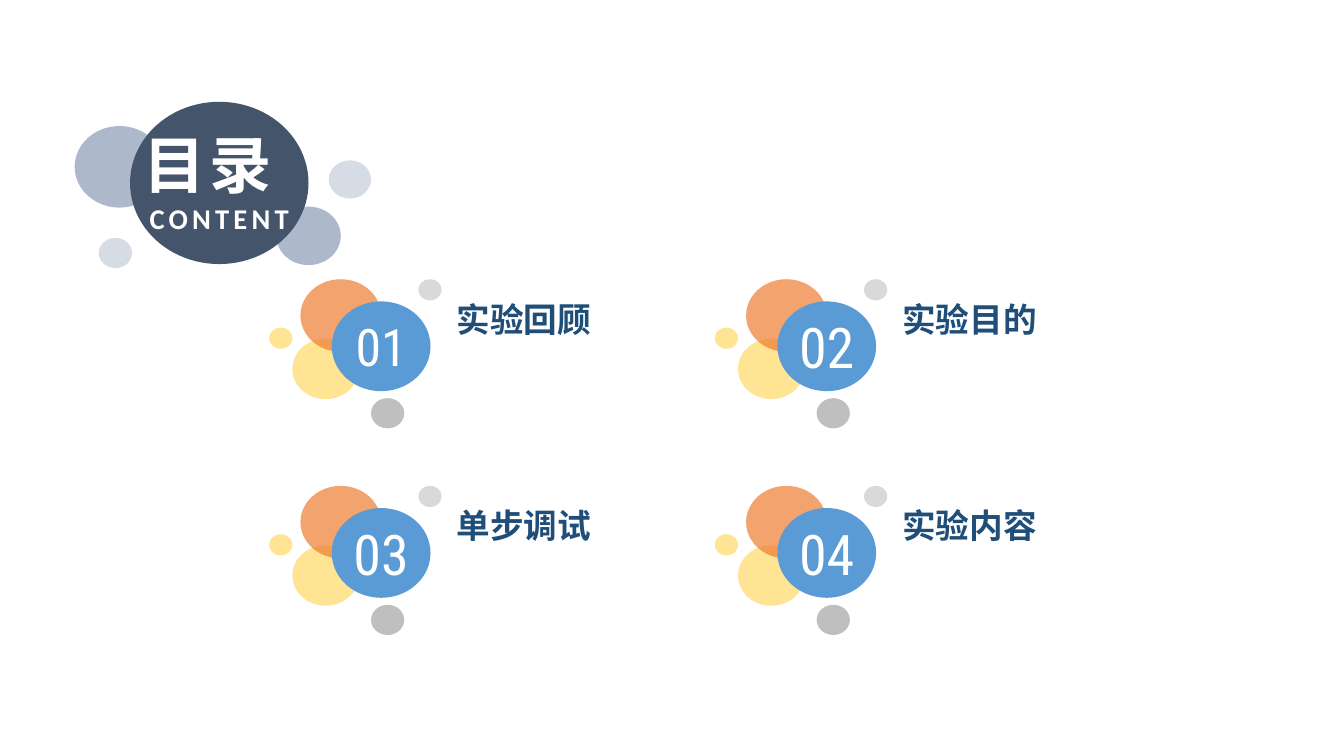
from lxml.etree import SubElement
from pptx import Presentation
from pptx.dml.color import RGBColor
from pptx.enum.shapes import MSO_SHAPE as Shape
from pptx.enum.text import MSO_ANCHOR as Anchor, PP_ALIGN as Align
from pptx.oxml.ns import qn
from pptx.util import Inches, Pt

CJK_FONT = "Noto Sans CJK SC"
WHITE = "FFFFFF"

topics = [("01", "实验回顾", 37), ("02", "实验目的", 40),
          ("03", "单步调试", 40), ("04", "实验内容", 40)]
COLUMNS, LEFT, TOP = 2, 2.67, 2.77
COLUMN_STEP, ROW_STEP = 4.42, 2.05

back_bubbles = [(0.23, 0.59, 0.66, 0.6, "FFD966"), (0.31, 0, 0.8, 0.72, "ED7D31")]
number_bubble = (0.62, 0.22, 0.98, 0.89, "5B9BD5")
front_bubbles = [(1.01, 1.18, 0.33, 0.3, "A5A5A5"), (0, 0.48, 0.23, 0.21, "FFD966"),
                 (1.48, 0, 0.23, 0.21, "C9C9C9")]
label_box = (1.47, 0, 2.75, 0.59)

heading_back = [(0.98, 2.36, 0.33, 0.3, "D6DCE5"), (2.74, 2.05, 0.64, 0.58, "ADB9CA"),
                (0.74, 1.25, 0.89, 0.81, "ADB9CA")]
heading_bubble = (1.29, 1.01, 1.77, 1.61, "44546A")
heading_front = (3.26, 1.59, 0.42, 0.38, "D6DCE5")
heading, heading_sizes = "目录 \vCONTENT", (44.4, 20.4)


def color(hex_code):
    return RGBColor.from_string(hex_code)


def add_bubble(group, bubble, x=0, y=0, opacity=100):
    left, top, width, height, fill = bubble
    ellipse = group.shapes.add_shape(Shape.OVAL, Inches(x + left), Inches(y + top),
                                     Inches(width), Inches(height))
    ellipse.shadow.inherit = False
    ellipse.line.fill.background()
    ellipse.fill.solid()
    ellipse.fill.fore_color.rgb = color(fill)
    if opacity < 100:
        tint = ellipse.fill._xPr.find(qn("a:solidFill"))[0]
        SubElement(tint, qn("a:alpha"), val=str(opacity * 1000))
    return ellipse


def write(shape, text, sizes, font, hex_code, align, anchor, bold=False, spacing=0):
    frame = shape.text_frame
    frame.word_wrap = False
    frame.vertical_anchor = anchor
    paragraph = frame.paragraphs[0]
    paragraph.text = text
    paragraph.alignment = align
    for run, size in zip(paragraph.runs, sizes):
        run.font.size = Pt(size)
        run.font.name = font
        run.font.bold = bold
        run.font.color.rgb = color(hex_code)
        properties = run.font._element
        SubElement(properties, qn("a:ea"), typeface=CJK_FONT)
        if spacing:
            properties.set("spc", str(spacing * 100))


deck = Presentation()
deck.slide_width, deck.slide_height = Inches(13.33), Inches(7.5)
slide = deck.slides.add_slide(deck.slide_layouts[6])

for index, (number, label, number_size) in enumerate(topics):
    row, column = divmod(index, COLUMNS)
    x, y = LEFT + column * COLUMN_STEP, TOP + row * ROW_STEP
    topic = slide.shapes.add_group_shape()
    for bubble in back_bubbles:
        add_bubble(topic, bubble, x, y, 70)
    write(add_bubble(topic, number_bubble, x, y), number, [number_size],
          "Roboto Condensed", WHITE, Align.CENTER, Anchor.MIDDLE)
    for bubble in front_bubbles:
        add_bubble(topic, bubble, x, y, 70)
    left, top, width, height = label_box
    caption = topic.shapes.add_textbox(Inches(x + left), Inches(y + top),
                                       Inches(width), Inches(height))
    frame = caption.text_frame
    frame.margin_left = Inches(0.39)
    frame.margin_top = frame.margin_right = frame.margin_bottom = 0
    write(caption, label, [24], CJK_FONT, "1F4E79", Align.LEFT, Anchor.BOTTOM, bold=True)

title = slide.shapes.add_group_shape()
for bubble in heading_back:
    add_bubble(title, bubble)
write(add_bubble(title, heading_bubble), heading, heading_sizes, "Calibri", WHITE,
      Align.CENTER, Anchor.BOTTOM, bold=True, spacing=3)
add_bubble(title, heading_front)

deck.save("out.pptx")
